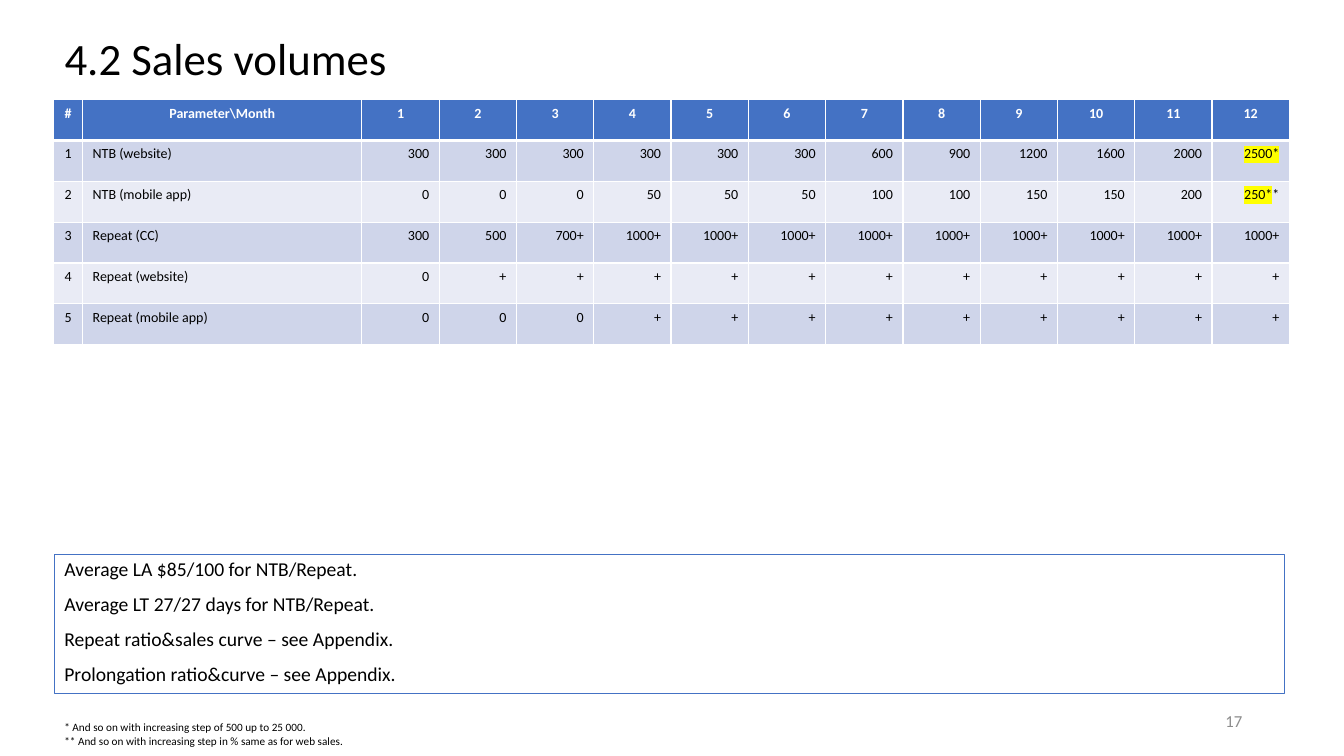
from lxml import etree
from pptx import Presentation
from pptx import util as u
from pptx.dml.color import RGBColor
from pptx.enum import shapes, text
from pptx.oxml.ns import qn

COLORS = {"black": "000000", "white": "FFFFFF", "blue": "4472C4", "grey": "8C8C8C",
          "band_dark": "CFD5EA", "band_light": "E9EBF5", "yellow": "FFFF00"}
LEFT, CENTER, RIGHT = text.PP_ALIGN.LEFT, text.PP_ALIGN.CENTER, text.PP_ALIGN.RIGHT

MONTHS = 12
SALES = [
    ("NTB (website)", [300] * 6 + [600, 900, 1200, 1600, 2000, "2500*"]),
    ("NTB (mobile app)", [0] * 3 + [50] * 3 + [100, 100, 150, 150, 200, "250**"]),
    ("Repeat (CC)", [300, 500, "700+"] + ["1000+"] * 9),
    ("Repeat (website)", [0] + ["+"] * 11),
    ("Repeat (mobile app)", [0] * 3 + ["+"] * 9),
]
HIGHLIGHTS = {"2500*": ["2500*"], "250**": ["250*", "*"]}  # first part is marked
ASSUMPTIONS = ["Average LA $85/100 for NTB/Repeat.",
               "Average LT 27/27 days for NTB/Repeat.",
               "Repeat ratio&sales curve – see Appendix.",
               "Prolongation ratio&curve – see Appendix."]
FOOTNOTES = ["* And so on with increasing step of 500 up to 25 000.",
             "** And so on with increasing step in % same as for web sales."]


def color(name):
    return RGBColor.from_string(COLORS[name])


class SlideBuilder:
    font = "Calibri"

    def __init__(self, deck):
        self.page = deck.slides.add_slide(deck.slide_layouts[5])

    def style(self, para, size, ink="black", bold=False, align=LEFT):
        para.alignment = align
        for span in para.runs:
            span.font.name, span.font.size, span.font.bold = self.font, u.Pt(size), bold
            span.font.color.rgb = color(ink)

    def fill_text(self, frame, lines, size, ink="black", align=LEFT, spacing=None, before=0):
        frame.word_wrap = True
        frame.text = "\n".join(lines)
        for para in frame.paragraphs:
            self.style(para, size, ink, align=align)
            para.line_spacing = spacing
            para.space_before = u.Pt(before)

    def title(self, words, area):
        box = self.page.shapes.title
        box.left, box.top, box.width, box.height = map(u.Inches, area)
        self.fill_text(box.text_frame, [words], 32, spacing=0.9)
        box.text_frame.vertical_anchor = text.MSO_ANCHOR.MIDDLE
        box.text_frame.auto_size = text.MSO_AUTO_SIZE.NONE

    def text_box(self, lines, area, size, anchor=text.MSO_ANCHOR.TOP, **look):
        box = self.page.shapes.add_textbox(*map(u.Inches, area))
        box.text_frame.vertical_anchor = anchor
        self.fill_text(box.text_frame, lines, size, **look)

    def framed_box(self, lines, area, size, **look):
        box = self.page.shapes.add_shape(shapes.MSO_SHAPE.RECTANGLE, *map(u.Inches, area))
        box.shadow.inherit = False
        box.fill.background()
        box.line.color.rgb = color("blue")
        box.line.width = u.Pt(0.75)
        box.text_frame.vertical_anchor = text.MSO_ANCHOR.TOP
        self.fill_text(box.text_frame, lines, size, **look)

    def highlight(self, span):
        mark = etree.Element(qn("a:highlight"))
        etree.SubElement(mark, qn("a:srgbClr"), val=COLORS["yellow"])
        span._r.get_or_add_rPr().find(qn("a:solidFill")).addnext(mark)

    def borders(self, cell, top=1, bottom=1):
        properties = cell._tc.get_or_add_tcPr()
        widths = {"a:lnL": 1, "a:lnR": 1, "a:lnT": top, "a:lnB": bottom}
        for index, (tag, width) in enumerate(widths.items()):
            line = etree.Element(qn(tag), w=str(u.Pt(width)))
            fill = etree.SubElement(line, qn("a:solidFill"))
            etree.SubElement(fill, qn("a:srgbClr"), val=COLORS["white"])
            properties.insert(index, line)

    def table(self, rows, widths, area):
        frame = self.page.shapes.add_table(len(rows), len(widths), *map(u.Inches, area))
        grid = frame.table
        for column, width in zip(grid.columns, widths):
            column.width = u.Inches(width)
        for r, values in enumerate(rows):
            header = r == 0
            band = "blue" if header else ("band_dark" if r % 2 else "band_light")
            for c, value in enumerate(values):
                cell = grid.cell(r, c)
                cell.fill.solid()
                cell.fill.fore_color.rgb = color(band)
                self.borders(cell, 3 if r == 1 else 1, 3 if header else 1)
                para = cell.text_frame.paragraphs[0]
                for part in HIGHLIGHTS.get(value, [str(value)]):
                    para.add_run().text = part
                align = CENTER if header or c == 0 else LEFT if c == 1 else RIGHT
                self.style(para, 10, "white" if header else "black", header, align)
                if value in HIGHLIGHTS:
                    self.highlight(para.runs[0])


def main():
    deck = Presentation()
    deck.slide_width, deck.slide_height = u.Inches(13.33), u.Inches(7.5)
    slide = SlideBuilder(deck)

    # Slide number and title
    slide.text_box(["17"], (9.42, 6.95, 3, 0.4), 12, text.MSO_ANCHOR.MIDDLE,
                   ink="grey", align=RIGHT)
    slide.title("4.2 Sales volumes", (0.54, 0.22, 9.75, 0.78))

    # Monthly sales table
    rows = [["#", "Parameter\\Month", *range(1, MONTHS + 1)]]
    rows += [[number, name, *values] for number, (name, values) in enumerate(SALES, 1)]
    width, number_width, name_width = 12.26, 0.29, 2.77
    month_width = (width - number_width - name_width) / MONTHS
    slide.table(rows, [number_width, name_width] + [month_width] * MONTHS,
                (0.53, 0.99, width, 2.43))

    # Assumptions and footnotes
    slide.framed_box(ASSUMPTIONS, (0.54, 5.5, 12.2, 1.38), 14, spacing=0.9, before=10)
    slide.text_box(FOOTNOTES, (0.54, 7.1, 10.93, 0.37), 8)

    deck.save("out.pptx")


if __name__ == "__main__":
    main()
